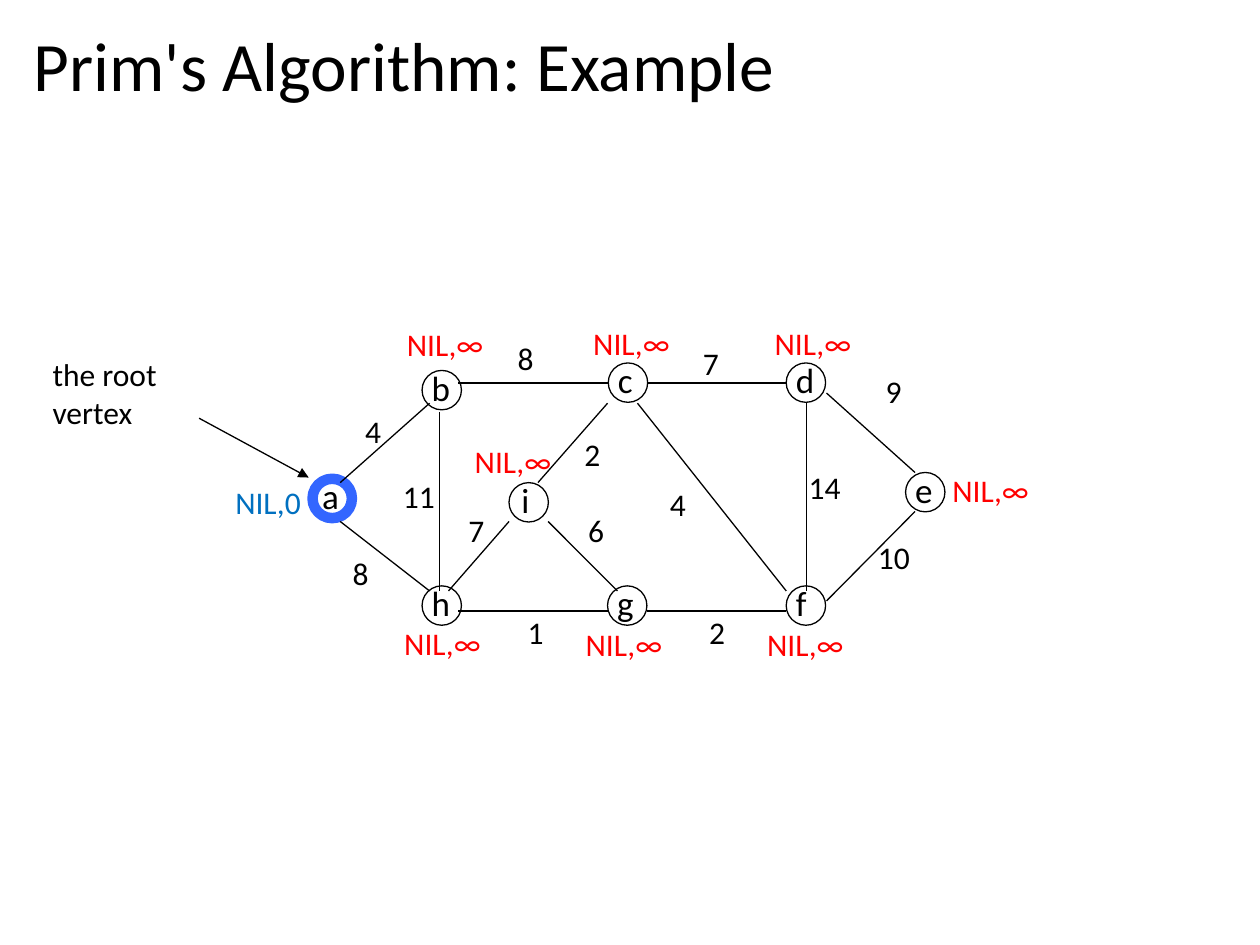
"""Build the slide that shows the starting state of Prim's algorithm."""
from pptx import Presentation
from pptx.dml.color import RGBColor
from pptx.enum.shapes import MSO_CONNECTOR, MSO_SHAPE
from pptx.enum.text import MSO_ANCHOR
from pptx.oxml.ns import qn
from pptx.util import Pt
from lxml import etree

STRAIGHT = MSO_CONNECTOR.STRAIGHT
OVAL = MSO_SHAPE.OVAL
MIDDLE = MSO_ANCHOR.MIDDLE

BLACK = RGBColor(0x00, 0x00, 0x00)
RED = RGBColor(0xFF, 0x00, 0x00)
KEY_BLUE = RGBColor(0x00, 0x70, 0xC0)
ROOT_BLUE = RGBColor(0x33, 0x66, 0xFF)

prs = Presentation()
prs.slide_width = Pt(720)
prs.slide_height = Pt(540)
slide = prs.slides.add_slide(prs.slide_layouts[6])


def add_text(text, x, y, width, height, size=18, color=BLACK, wrap=False):
    box = slide.shapes.add_textbox(Pt(x), Pt(y), Pt(width), Pt(height))
    box.text_frame.word_wrap = wrap
    run = box.text_frame.paragraphs[0].add_run()
    run.text = text
    run.font.name = "Calibri"
    run.font.size = Pt(size)
    run.font.color.rgb = color
    return box.text_frame


def add_line(x1, y1, x2, y2):
    line = slide.shapes.add_connector(STRAIGHT, Pt(x1), Pt(y1), Pt(x2), Pt(y2))
    line.line.color.rgb = BLACK
    line.line.width = Pt(0.75)
    etree.SubElement(line._element.spPr, qn("a:effectLst"))
    return line


title = add_text("Prim's Algorithm: Example", 12.2, 13, 692.6, 53.3, 39.6, wrap=True)
title.vertical_anchor = MIDDLE
title.paragraphs[0].line_spacing = 0.9

DIAMETER = 22.5
vertices = [
    ("a", 178.6, 273.6, 23),
    ("b", 241.2, 211.7, 24.5),
    ("h", 241.2, 334.8, 24.5),
    ("c", 347.6, 207.4, 23),
    ("d", 449.3, 207.4, 24.5),
    ("e", 517.5, 270, 23),
    ("f", 449.3, 334.8, 21),
    ("g", 347.2, 334.8, 24.5),
    ("i", 290.9, 275.8, 20),
]
for letter, x, y, width in vertices:
    is_root = letter == "a"
    indent = 0 if letter == "i" else 1.6
    add_text(letter, x - indent, y - 5.8, width, 31, 20)
    circle = slide.shapes.add_shape(OVAL, Pt(x), Pt(y), Pt(DIAMETER), Pt(DIAMETER))
    circle.shadow.inherit = False
    circle.fill.background()
    circle.line.color.rgb = ROOT_BLUE if is_root else BLACK
    circle.line.width = Pt(6 if is_root else 0.75)

edges = [
    ((194.4, 275.8, 245.5, 230.4), "4", 201.6, 231.8),
    ((194.4, 298, 245.5, 337.7), "8", 194.4, 313.2),
    ((251.2, 235.4, 251.2, 337.7), "11", 223.2, 269.3),
    ((262, 218.9, 347.2, 218.9), "8", 288.7, 190.1),
    ((262, 349.2, 347.2, 349.2), "1", 294.5, 347),
    ((370, 349.2, 449.3, 349.2), "2", 398.2, 347),
    ((364.3, 230.4, 449.3, 337.7), "4", 375.8, 273.6),
    ((370, 218.9, 449.3, 218.9), "7", 394.6, 193),
    ((460.8, 230.4, 460.8, 337.7), "14", 455, 264.2),
    ((472.3, 224.6, 522.9, 270), "9", 499, 208.8),
    ((472.3, 343.4, 522.9, 292.3), "10", 494.6, 303.8),
    ((313.2, 298, 352.8, 337.7), "6", 329, 288.7),
    ((256.3, 337.7, 290.9, 298), "7", 260.6, 288.7),
    ((307.4, 275.8, 347.2, 230.4), "2", 326.9, 244.8),
]
for ends, weight, x, y in edges:
    add_line(*ends)
    add_text(weight, x, y, 26.6 if len(weight) == 1 else 38.2, 36)

add_text("the root vertex", 23, 199.4, 96.5, 64.8, wrap=True)
root_arrow = add_line(113.8, 239, 176.4, 272.9)
etree.SubElement(root_arrow.line._get_or_add_ln(), qn("a:tailEnd"), type="triangle")

unreached_keys = [
    (225.4, 182.2),
    (223.9, 352.8),
    (331.9, 181.4),
    (435.6, 181.4),
    (327.6, 353.5),
    (431.3, 353.5),
    (537.1, 265.7),
    (264.2, 249.1),
]
for x, y in unreached_keys:
    add_text("NIL,∞", x, y, 59, 29, color=RED)
add_text("NIL,0", 127.4, 272.2, 52.6, 29, color=KEY_BLUE)

prs.save("out.pptx")
